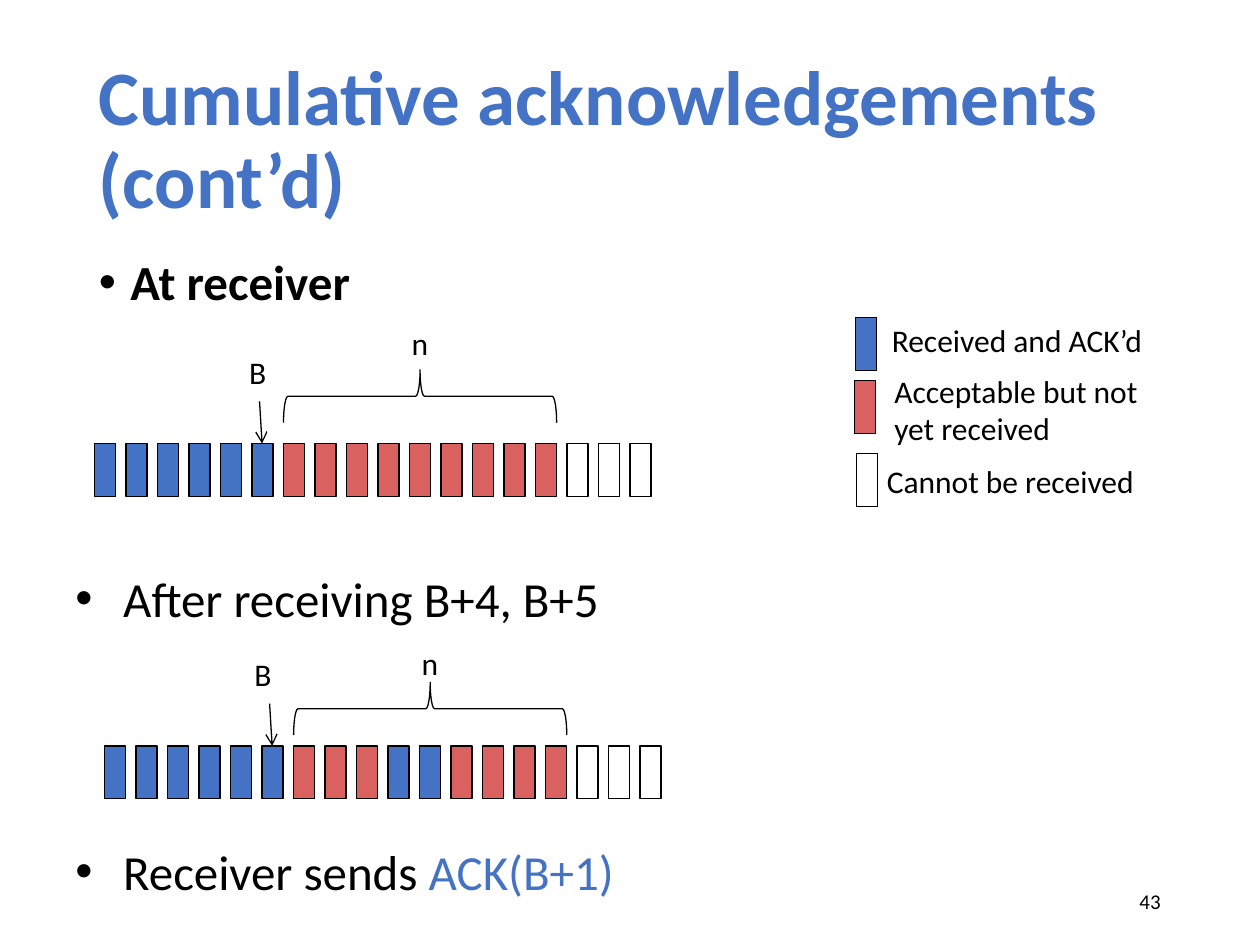
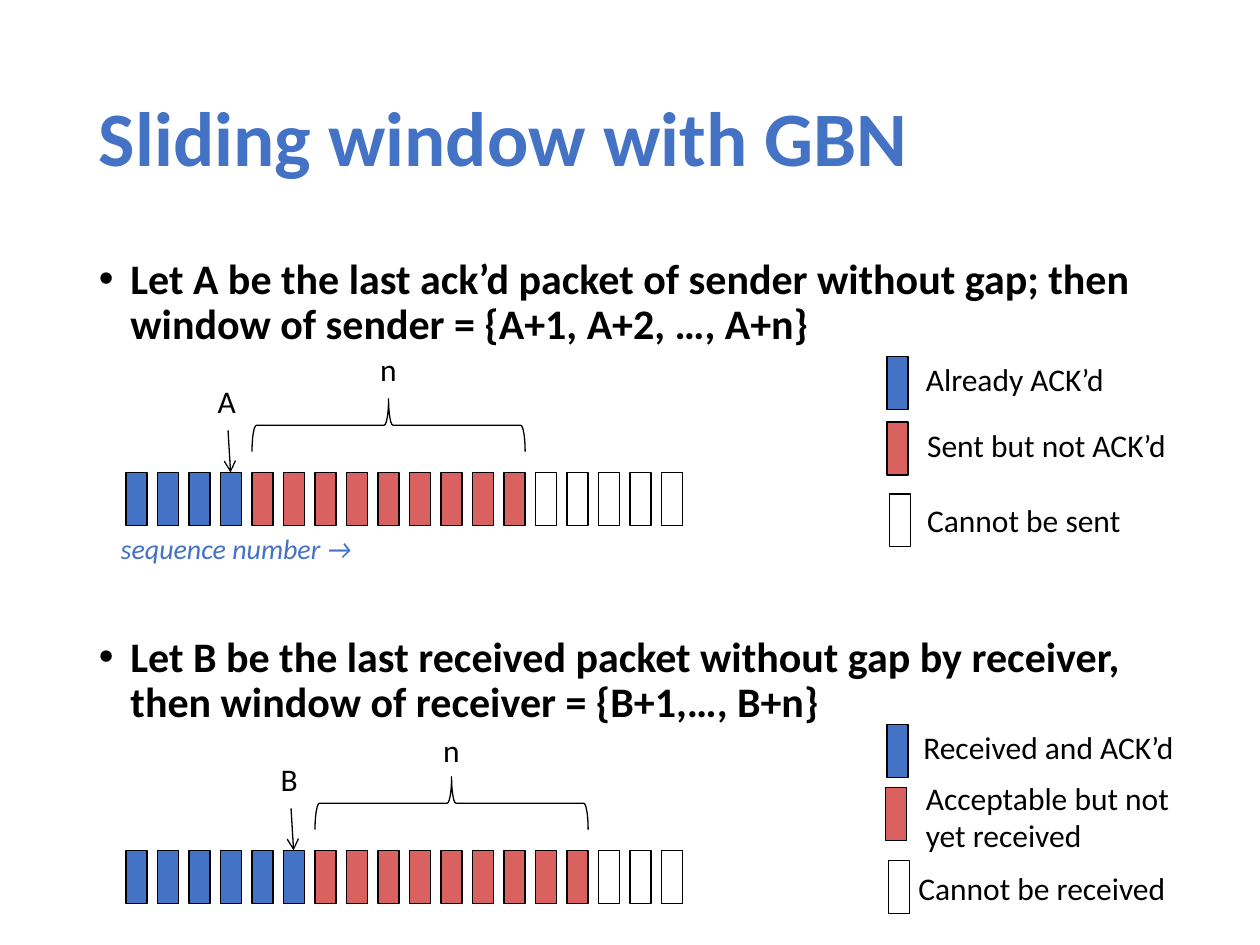
from lxml.etree import SubElement as Sub
from pptx import Presentation
from pptx.dml.color import RGBColor as Rgb
from pptx.enum.shapes import MSO_CONNECTOR as Link, MSO_SHAPE as Shape
from pptx.enum.text import MSO_ANCHOR as Anchor, PP_ALIGN as Align
from pptx.oxml.ns import qn
from pptx.util import Inches, Pt

COLORS = {"accent": "4472C4", "window": "D9615F", "blocked": "FFFFFF", "ink": "000000"}
FONT = "Calibri"
WIDTH, HEIGHT = Inches(10), Inches(7.5)
COLS, ROWS = 40, 30
CELL_W, CELL_H = 0.67, 1.68
LABEL_H = 1.6
STATES = {"A": "accent", "W": "window", "-": "blocked"}

RECEIVER_LEGEND = [
    ("A", ["Received and ACK’d"], (0, 0), (0.76, -0.08)),
    ("W", ["Acceptable but not", "yet received"], (-0.04, 2), (0.84, 1.52)),
    ("-", ["Cannot be received"], (0.04, 4.32), (0.6, 4.4)),
]
SENDER_LEGEND = [
    ("A", ["Already ACK’d"], (0, 0), (0.84, -0.08)),
    ("W", ["Sent but not ACK’d"], (0, 2.08), (0.88, 2)),
    ("-", ["Cannot be sent"], (0.08, 4.36), (0.88, 4.4)),
]


def across(cols):
    return round(WIDTH * cols / COLS)


def down(rows):
    return round(HEIGHT * rows / ROWS)


def place(col, row, cols, rows):
    return across(col), down(row), across(cols), down(rows)


def color(name):
    return Rgb.from_string(COLORS[name])


def outline(line):
    line.color.rgb = color("ink")
    line.width = Pt(0.75)


def write(slide, box, lines, size, ink="ink", bold=False, italic=False,
          align=Align.LEFT, anchor=Anchor.TOP, spacing=None):
    frame = slide.shapes.add_textbox(*place(*box)).text_frame
    frame.word_wrap = True
    frame.vertical_anchor = anchor
    words = frame.paragraphs[0]
    words.alignment = align
    words.line_spacing = spacing
    for index, line in enumerate(lines):
        if index:
            words.add_line_break()
        for text, tint in ([(line, ink)] if isinstance(line, str) else line):
            run = words.add_run()
            run.text = text
            run.font.name = FONT
            run.font.size = Pt(size)
            run.font.bold = bold
            run.font.italic = italic
            run.font.color.rgb = color(tint)
    return words


def add_bullet(words, indent, before):
    words.space_before = Pt(before)
    props = words._p.get_or_add_pPr()
    props.set("marL", str(Inches(indent)))
    props.set("indent", str(-Inches(indent)))
    Sub(props, qn("a:buFont"), typeface="Arial")
    Sub(props, qn("a:buChar"), char="•")


def title(slide, text):
    write(slide, (2.75, 1.6, 34.5, 5.8), [text], 44, "accent", bold=True,
          anchor=Anchor.MIDDLE, spacing=0.9)


def statement(slide, row, text, size):
    words = write(slide, (2.75, row, 34.5, 6), [text], size, bold=True, spacing=0.9)
    add_bullet(words, 0.25, 10)


def step(slide, row, *runs):
    words = write(slide, (2, row, 36, 2.48), [runs], 28)
    add_bullet(words, 0.38, 5.6)


def packet(slide, col, row, state):
    block = slide.shapes.add_shape(Shape.RECTANGLE, *place(col, row, CELL_W, CELL_H))
    block.shadow.inherit = False
    block.fill.solid()
    block.fill.fore_color.rgb = color(STATES[state])
    outline(block.line)


def window_brace(slide, center, middle, span):
    brace = slide.shapes.add_shape(
        Shape.LEFT_BRACE,
        *place(center - CELL_H / 2, middle - span / 2, CELL_H, span))
    brace.rotation = 90
    brace.shadow.inherit = False
    brace.fill.background()
    outline(brace.line)


def pointer(slide, col, row):
    arrow = slide.shapes.add_connector(
        Link.STRAIGHT, across(col + 0.24), down(row - 1.34), across(col + 0.32), down(row))
    outline(arrow.line)
    Sub(arrow.line._get_or_add_ln(), qn("a:tailEnd"), type="arrow")
    Sub(arrow._element.spPr, qn("a:effectLst"))


def track(slide, col, row, last, states, edge, size_rise=4, brace_rise=1.5, edge_shift=0.48):
    for index, state in enumerate(states):
        packet(slide, col + index, row, state)
    first = edge + 1
    span = states.index("-") - first - 1 + CELL_W
    center = col + first + span / 2
    window_brace(slide, center, row - brace_rise, span)
    write(slide, (center - 0.66, row - size_rise, 1.48, 1.76), ["n"], 18)
    write(slide, (col + edge - edge_shift, row - 3.08, 1.48, 1.76), [last], 18)
    pointer(slide, col + edge, row)


def legend(slide, col, row, entries):
    for state, lines, (chip_x, chip_y), (label_x, label_y) in entries:
        packet(slide, col + chip_x, row + chip_y, state)
        write(slide, (col + label_x, row + label_y, 10.5, LABEL_H * len(lines)), lines, 18)


def acknowledgements_slide(slide):
    title(slide, "Cumulative acknowledgements (cont’d)")
    statement(slide, 8, "At receiver", 28)
    track(slide, 3, 14.08, "B", "A" * 6 + "W" * 9 + "-" * 3, 5)
    legend(slide, 27.16, 10.08, RECEIVER_LEGEND)
    step(slide, 17.84, ("After receiving B+4, B+5", "ink"))
    track(slide, 3.32, 23.68, "B", "A" * 6 + "WWWAAWWWW" + "-" * 3, 5,
          size_rise=3.44, brace_rise=1.18, edge_shift=0.64)
    step(slide, 26.52, ("Receiver sends ", "ink"), ("ACK(B+1)", "accent"))
    write(slide, (28.24, 27.8, 9, 1.6), ["43"], 12, align=Align.RIGHT, anchor=Anchor.MIDDLE)


def sliding_window_slide(slide):
    title(slide, "Sliding window with GBN")
    statement(slide, 8, "Let A be the last ack’d packet of sender without gap; then "
              "window of sender = {A+1, A+2, …, A+n}", 24)
    track(slide, 4, 15, "A", "A" * 4 + "W" * 9 + "-" * 5, 3, size_rise=4.08)
    legend(slide, 28.16, 11.32, SENDER_LEGEND)
    write(slide, (3.44, 16.68, 11.56, 1.48), ["sequence number →"], 16, "accent", italic=True)
    statement(slide, 20, "Let B be the last received packet without gap by receiver, "
              "then window of receiver = {B+1,…, B+n}", 24)
    track(slide, 4, 27, "B", "A" * 6 + "W" * 9 + "-" * 3, 5)
    legend(slide, 28.16, 23, RECEIVER_LEGEND)


def main():
    deck = Presentation()
    deck.slide_width, deck.slide_height = WIDTH, HEIGHT
    blank = deck.slide_layouts[6]
    for build in (acknowledgements_slide, sliding_window_slide):
        build(deck.slides.add_slide(blank))
    deck.save("out.pptx")


if __name__ == "__main__":
    main()
